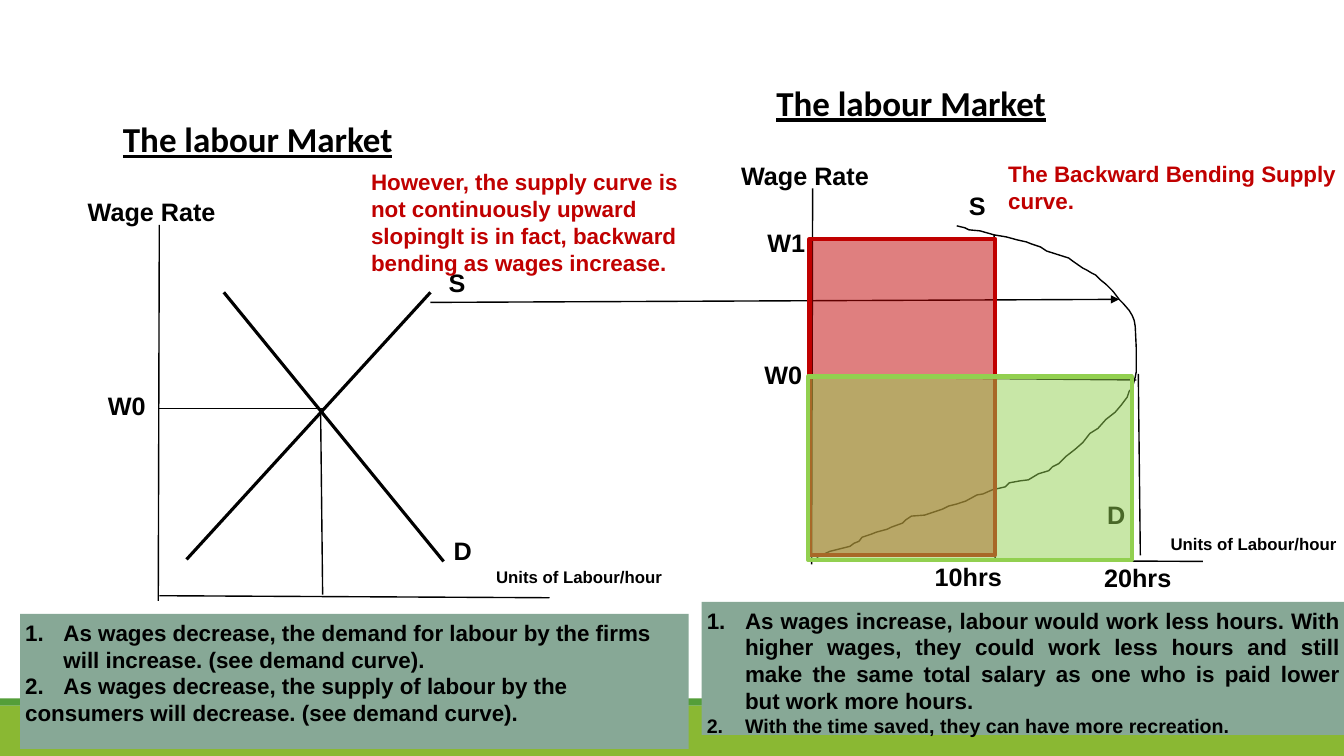
"""Build the labour market slide with two supply and demand diagrams."""
from dataclasses import dataclass

from lxml import etree
from pptx import Presentation
from pptx import util as u
from pptx.dml.color import RGBColor
from pptx.enum import shapes, text
from pptx.oxml import ns


@dataclass(frozen=True)
class Theme:
    """Colours, fonts, type sizes and line weights of the slide."""
    ink: str = "000000"
    accent: str = "C00000"
    lime: str = "92D050"
    sage: str = "87A896"
    band: str = "8AB833"
    band_edge: str = "549E39"
    body_font: str = "Arial"
    title_font: str = "Calibri"
    title: float = 25
    label: float = 18
    note: float = 16
    small_note: float = 14
    axis_label: float = 12
    thin: float = 1
    bold: float = 2.25
    frame: float = 3


THEME = Theme()
WIDTH, HEIGHT = u.Inches(13.33), u.Inches(7.5)
COLUMNS, ROWS = 133.3, 75
PANEL_SHIFT = (64.8, -3.6)

SUPPLY_CURVE = [
    (81, 55.3), (82.3, 54.7), (84.3, 54.2), (84.7, 53.9), (85.2, 53.7), (85.5, 53.3),
    (86.4, 53), (86.9, 52.8), (88, 52.5), (88.4, 52.3), (89.5, 51.9), (89.8, 51.6),
    (90.4, 51.2), (91.7, 51.1), (92.3, 50.9), (93.5, 50.5), (94.1, 50.2), (94.9, 50),
    (95.8, 49.7), (96.9, 49.1), (97.5, 49), (98.4, 48.6), (99.7, 48.3), (100.1, 47.9),
    (101.2, 47.7), (102, 47.6), (103, 47), (104, 46.7), (104.4, 46.3), (105, 46),
    (105.7, 45.3), (106.6, 44.6), (107.4, 43.9), (108.1, 43), (108.9, 42.5),
    (109.7, 41.6), (110.6, 40.9), (111.2, 40.2), (111.8, 39.4), (112, 38.8),
    (112.3, 38.5), (112.6, 37.4), (112.7, 36.9), (112.7, 34.5), (112.6, 32.4),
    (112.5, 31.8), (112.3, 31.3), (112, 30.8), (111.4, 30.1), (111, 29.7),
    (110.4, 28.9), (110, 28.5), (109.7, 28.2), (109.2, 27.8), (108.7, 27.3),
    (108.3, 27.1), (107.8, 26.8), (107.4, 26.6), (106.4, 25.9), (106, 25.6),
    (103.8, 24.9), (103.2, 24.5), (102.3, 24.2), (101.8, 24), (100.9, 23.8),
    (99.8, 23.5), (98.6, 23.3), (97.2, 22.9), (96.1, 22.8), (95.7, 22.6), (94.9, 22.4),
]


def across(columns):
    """Return the length of a number of grid columns."""
    return u.Emu(round(WIDTH * columns / COLUMNS))


def down(rows):
    """Return the length of a number of grid rows."""
    return u.Emu(round(HEIGHT * rows / ROWS))


def place(left, top, width, height):
    """Return a grid box as slide lengths."""
    return across(left), down(top), across(width), down(height)


def colour(value):
    """Return a colour object for a hexadecimal value."""
    return RGBColor.from_string(value)


def add_block(slide, box, fill, line=None, opacity=None):
    """Add a filled rectangle with an optional frame and opacity."""
    shape = slide.shapes.add_shape(shapes.MSO_SHAPE.RECTANGLE, *place(*box))
    shape.shadow.inherit = False
    shape.fill.solid()
    shape.fill.fore_color.rgb = colour(fill)
    if opacity:
        fill_colour = shape.fill._xPr.find(".//" + ns.qn("a:srgbClr"))
        etree.SubElement(fill_colour, ns.qn("a:alpha"), val=str(opacity * 1000))
    if line:
        shape.line.color.rgb = colour(line)
        shape.line.width = u.Pt(THEME.frame)
    else:
        shape.line.fill.background()
    return shape


def add_line(slide, start, end, weight=THEME.thin, arrow=False):
    """Add a straight line between two grid points."""
    connector = slide.shapes.add_connector(
        shapes.MSO_CONNECTOR.STRAIGHT,
        across(start[0]), down(start[1]), across(end[0]), down(end[1]))
    connector.line.color.rgb = colour(THEME.ink)
    connector.line.width = u.Pt(weight)
    if arrow:
        etree.SubElement(connector.line._get_or_add_ln(), ns.qn("a:tailEnd"), type="triangle")
    etree.SubElement(connector._element.spPr, ns.qn("a:effectLst"))


def add_curve(slide, points):
    """Add an open outline through grid points."""
    (x, y), *rest = [(across(column), down(row)) for column, row in points]
    builder = slide.shapes.build_freeform(x, y)
    builder.add_line_segments(rest, close=False)
    shape = builder.convert_to_shape()
    shape.shadow.inherit = False
    shape.fill.background()
    shape.line.color.rgb = colour(THEME.ink)
    shape.line.width = u.Pt(THEME.thin)


def number_paragraph(paragraph):
    """Give a paragraph an automatic number with a hanging indent."""
    properties = paragraph._p.get_or_add_pPr()
    indent = u.Inches(0.38)
    properties.set("marL", str(indent))
    properties.set("indent", str(-indent))
    bullet_colour = etree.SubElement(properties, ns.qn("a:buClr"))
    etree.SubElement(bullet_colour, ns.qn("a:srgbClr"), val=THEME.ink)
    etree.SubElement(properties, ns.qn("a:buFont"), typeface=THEME.body_font)
    etree.SubElement(properties, ns.qn("a:buAutoNum"), type="arabicPeriod")


def write(shape, lines, ink=THEME.ink, font=THEME.body_font, underline=False,
          align=text.PP_ALIGN.LEFT):
    """Write (words, size, numbered) lines as bold paragraphs."""
    frame = shape.text_frame
    frame.word_wrap = True
    frame.vertical_anchor = text.MSO_ANCHOR.TOP
    frame.margin_left = frame.margin_right = u.Inches(0.05)
    frame.margin_top = frame.margin_bottom = u.Inches(0.05)
    for index, (words, size, numbered) in enumerate(lines):
        paragraph = frame.add_paragraph() if index else frame.paragraphs[0]
        paragraph.alignment = align
        if numbered:
            number_paragraph(paragraph)
        run = paragraph.add_run()
        run.text = words
        run.font.name, run.font.size = font, u.Pt(size)
        run.font.bold, run.font.underline = True, underline
        run.font.color.rgb = colour(ink)


def add_text(slide, box, *words, size=THEME.label, **style):
    """Add a text box with one paragraph per string."""
    shape = slide.shapes.add_textbox(*place(*box))
    write(shape, [(line, size, False) for line in words], **style)


def add_panel(slide, x=0, y=0):
    """Add the title, axes and shared labels of one diagram."""
    add_text(slide, (11.7 + x, 11.2 + y, 31, 5), "The labour Market",
             size=THEME.title, font=THEME.title_font, underline=True)
    add_line(slide, (15.8 + x, 22.3 + y), (15.7 + x, 59.6 + y))
    add_line(slide, (15.8 + x, 59.1 + y), (54.5 + x, 59.3 + y))
    add_text(slide, (8.2 + x, 19 + y, 14, 3.8), "Wage Rate")
    add_text(slide, (44.5 + x, 52.6 + y, 6, 3.8), "D")


def add_market_diagram(slide):
    """Add the straight supply and demand diagram and its notes."""
    add_panel(slide)
    add_text(slide, (48.7, 55.7, 26.6, 2.9), "Units of Labour/hour", size=THEME.axis_label)
    add_line(slide, (18.5, 55.5), (42.7, 29), THEME.bold)
    add_line(slide, (44, 55.7), (22.2, 29), THEME.bold)
    add_text(slide, (44, 26, 6, 3.8), "S")
    notes = add_block(slide, (2, 60.9, 66.3, 13.4), THEME.sage)
    write(notes, [
        ("As wages decrease, the demand for labour by the firms will increase. "
         "(see demand curve).", THEME.note, True),
        ("As wages decrease, the supply of labour by the", THEME.note, True),
        ("consumers will decrease. (see demand curve).", THEME.note, False)])
    add_text(slide, (36.3, 16.2, 36.2, 10.9), "However, the supply curve is",
             "not continuously upward slopingIt is in fact, backward bending as wages increase.",
             size=THEME.note, ink=THEME.accent)
    add_line(slide, (15.8, 40.5), (32.3, 40.5))
    add_line(slide, (32, 59), (31.8, 40.9))
    add_text(slide, (10.2, 38.2, 4.9, 3.8), "W0")


def add_backward_diagram(slide):
    """Add the backward bending supply diagram and its notes."""
    add_panel(slide, *PANEL_SHIFT)
    add_text(slide, (115.6, 52.5, 20.7, 2.9), "Units of Labour/hour", size=THEME.axis_label)
    add_text(slide, (95.6, 18.4, 6, 3.8), "S")
    notes = add_block(slide, (69.6, 59.7, 63.8, 13.2), THEME.sage)
    write(notes, [
        ("As wages increase, labour would work less hours. With higher wages, they could "
         "work less hours and still make the same total salary as one who is paid lower "
         "but work more hours.", THEME.note, True),
        ("With the time saved, they can have more recreation.", THEME.small_note, True)],
        align=text.PP_ALIGN.JUSTIFY)
    add_line(slide, (80.6, 37.4), (112.7, 37.7))
    add_line(slide, (113.1, 55.1), (112.9, 37.1))
    add_curve(slide, SUPPLY_CURVE)
    add_line(slide, (98.7, 55.4), (98.6, 23.3))
    add_line(slide, (80.3, 23.7), (98.6, 23.7))
    add_text(slide, (75.3, 35.2, 4.9, 3.8), "W0")
    add_text(slide, (75.6, 22.1, 4.9, 3.8), "W1")
    add_block(slide, (80.3, 23.7, 18.4, 31.4), THEME.accent, THEME.accent, 50)
    add_block(slide, (80.15, 37.35, 32.1, 18.2), THEME.lime, THEME.lime, 50)
    add_text(slide, (92.2, 55.2, 7.8, 3.8), "10hrs")
    add_text(slide, (109, 55.3, 7.8, 3.8), "20hrs")
    add_text(slide, (99.5, 15.4, 34.7, 5.9), "The Backward Bending Supply curve.",
             size=THEME.note, ink=THEME.accent)


def main():
    """Build and save the presentation."""
    presentation = Presentation()
    presentation.slide_width, presentation.slide_height = WIDTH, HEIGHT
    slide = presentation.slides.add_slide(presentation.slide_layouts[6])
    add_block(slide, (0, 70, COLUMNS, 5), THEME.band)
    add_block(slide, (0, 69.3, COLUMNS, 0.7), THEME.band_edge)
    add_line(slide, (42.7, 30), (111, 29.7), arrow=True)
    add_market_diagram(slide)
    add_backward_diagram(slide)
    presentation.save("out.pptx")


if __name__ == "__main__":
    main()
